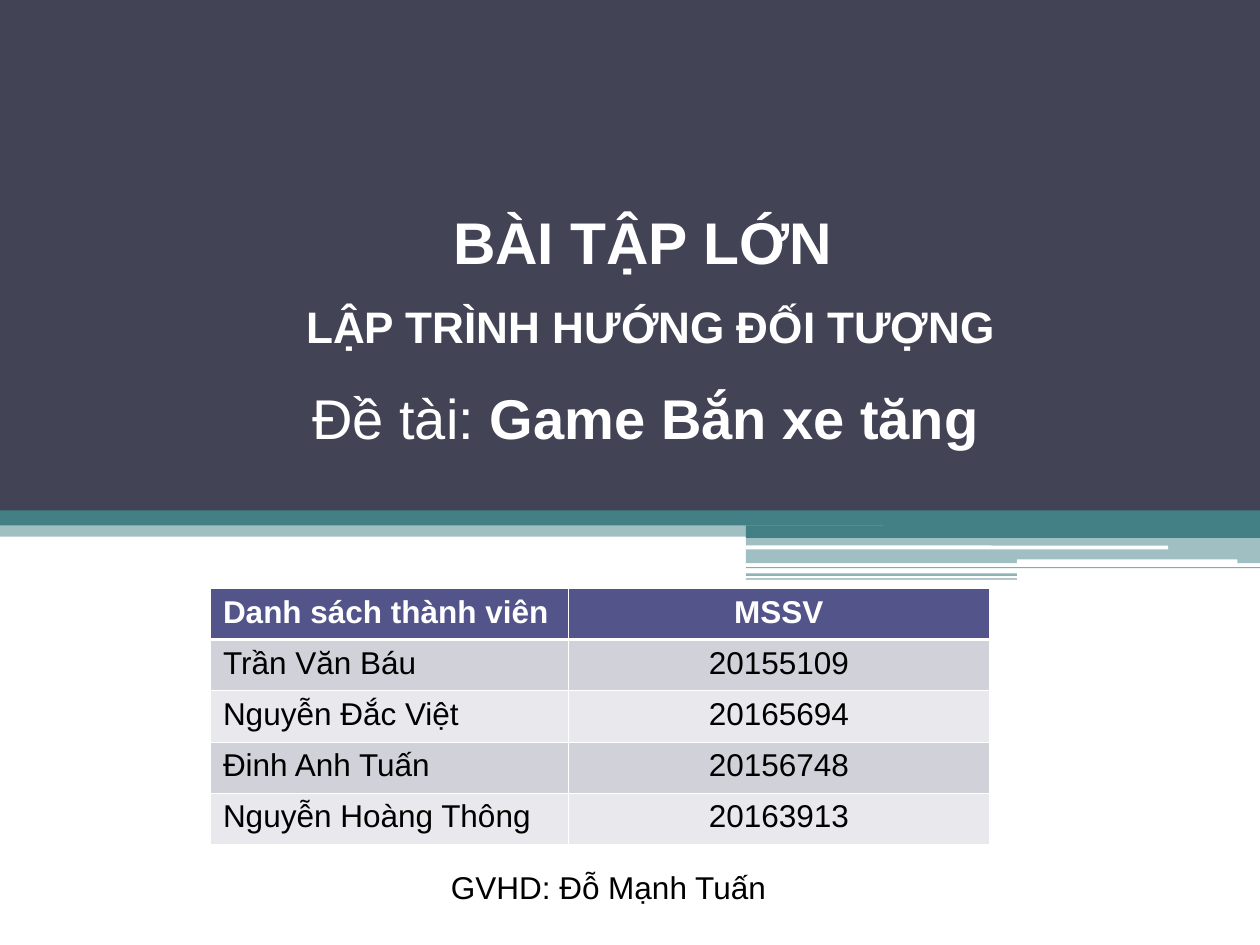
from pptx import Presentation, util as u
from pptx.dml import color
from pptx.enum import shapes, text
from pptx.oxml import parse_xml
from pptx.oxml.ns import nsdecls, qn

COLS, ROWS = 10, 7.5
deck = Presentation()
deck.slide_width, deck.slide_height = u.Inches(10), u.Inches(7.5)
CELL = deck.slide_width / COLS
TEAL, WHITE, BLACK = "438086", "FFFFFF", "000000"
MID, LEFT = text.PP_ALIGN.CENTER, text.PP_ALIGN.LEFT


def grid(*vals):
    return [u.Emu(round(v * CELL)) for v in vals]


def inside(box, part):
    return grid(box[0] + part[0], box[1] + part[1], *part[2:])


def put(thing, form):
    for key, val in form.items():
        setattr(thing, key, val)


def paint(fill, tone, alpha=100):
    fill.solid()
    fill.fore_color.rgb = color.RGBColor.from_string(tone)
    if alpha < 100:
        node = fill._xPr.find(".//" + qn("a:srgbClr"))
        node.append(parse_xml(f'<a:alpha {nsdecls("a")} val="{alpha * 1000}"/>'))


def write(para, words, size, tone, bold=False, **form):
    run = para.add_run()
    run.text = words
    put(run.font, dict(name="Arial", size=u.Pt(size), bold=bold))
    run.font.color.rgb = color.RGBColor.from_string(tone)
    put(para, form)


def frame(shape, anchor):
    put(shape.text_frame, dict(word_wrap=True, vertical_anchor=anchor,
                               auto_size=text.MSO_AUTO_SIZE.NONE))
    return shape.text_frame


def bands(page, box):
    rect, soft = shapes.MSO_SHAPE.RECTANGLE, shapes.MSO_SHAPE.ROUNDED_RECTANGLE
    step = 5.92
    wide, short = box[2] - step, 2.15
    parts = [
        (rect, (step, 4.17, wide, 0.1), TEAL, 100),
        (rect, (step, 4.26, wide, 0.21), TEAL, 50),
        (rect, (step, 4.5, wide, 0.01), TEAL, 65),
        (rect, (step, 4.55, short, 0.02), TEAL, 60),
        (rect, (step, 4.59, short, 0.01), TEAL, 65),
        (soft, (step, 4.33, 3.35, 0.03), WHITE, 100),
        (soft, (step + short, 4.44, 1.75, 0.04), WHITE, 100),
        (rect, (0, 3.99, box[2], 0.27), TEAL, 50),
        (rect, (0, 4.02, box[2], 0.15), TEAL, 100),
        (rect, (7.01, 3.98, 2.99, 0.27), TEAL, 100),
        (rect, (0, 0, box[2], 4.05), "424456", 100),
    ]
    for kind, part, tone, alpha in parts:
        bar = page.shapes.add_shape(kind, *inside(box, part))
        bar.shadow.inherit = False
        bar.line.fill.background()
        paint(bar.fill, tone, alpha)


def topic(page, box):
    title = page.shapes.title
    page.shapes._spTree.append(title._element)
    put(title, dict(zip(("left", "top", "width", "height"), grid(*box))))
    para = frame(title, text.MSO_ANCHOR.BOTTOM).paragraphs[0]
    write(para, "Đề tài: ", 32, WHITE, alignment=MID)
    write(para, "Game Bắn xe tăng", 32, WHITE, True)


def edge(cell, heavy):
    props = cell._tc.get_or_add_tcPr()
    for spot, side in enumerate("LRTB"):
        wide = u.Pt(1.47 if side in heavy else 0.45)
        props.insert(spot, parse_xml(
            f'<a:ln{side} {nsdecls("a")} w="{wide}"><a:solidFill>'
            f'<a:srgbClr val="{WHITE}"/></a:solidFill></a:ln{side}>'))


def roster(page, box):
    data = [("Danh sách thành viên", "MSSV"),
            ("Trần Văn Báu", "20155109"),
            ("Nguyễn Đắc Việt", "20165694"),
            ("Đinh Anh Tuấn", "20156748"),
            ("Nguyễn Hoàng Thông", "20163913")]
    table = page.shapes.add_table(len(data), 2, *grid(*box)).table
    for col, share in zip(table.columns, (0.46, 0.54)):
        col.width = grid(box[2] * share)[0]
    for r, row in enumerate(data):
        table.rows[r].height = grid(box[3] / len(data))[0]
        for c, words in enumerate(row):
            cell = table.cell(r, c)
            head = r == 0
            paint(cell.fill, "53548A" if head else ("E9E9ED", "D1D1DA")[r % 2])
            edge(cell, {0: "B", 1: "T"}.get(r, ""))
            write(cell.text_frame.paragraphs[0], words, 18,
                  WHITE if head else BLACK, head, alignment=(LEFT, MID)[c])


def course(page, box):
    area = frame(page.shapes.add_textbox(*grid(*box)), text.MSO_ANCHOR.BOTTOM)
    form = dict(alignment=MID, line_spacing=0.8)
    write(area.paragraphs[0], "BÀI TẬP LỚN ", 33.6, WHITE, True, **form)
    write(area.add_paragraph(), "LẬP TRÌNH HƯỚNG ĐỐI TƯỢNG", 25.2, WHITE, True,
          space_before=u.Pt(19), **form)


def tutor(page, box):
    area = frame(page.shapes.add_textbox(*grid(*box)), text.MSO_ANCHOR.TOP)
    write(area.paragraphs[0], "GVHD: Đỗ Mạnh Tuấn", 18, BLACK, alignment=LEFT)


page = deck.slides.add_slide(deck.slide_layouts[5])
paint(page.background.fill, WHITE)
bands(page, (0, 0, COLS, ROWS))
topic(page, (0.5, 2.67, 9.25, 0.96))
roster(page, (1.67, 4.67, 6.18, 2.03))
course(page, (0.58, 0.25, 9.17, 2.59))
tutor(page, (3.48, 6.84, 3.28, 0.4))
deck.save("out.pptx")
